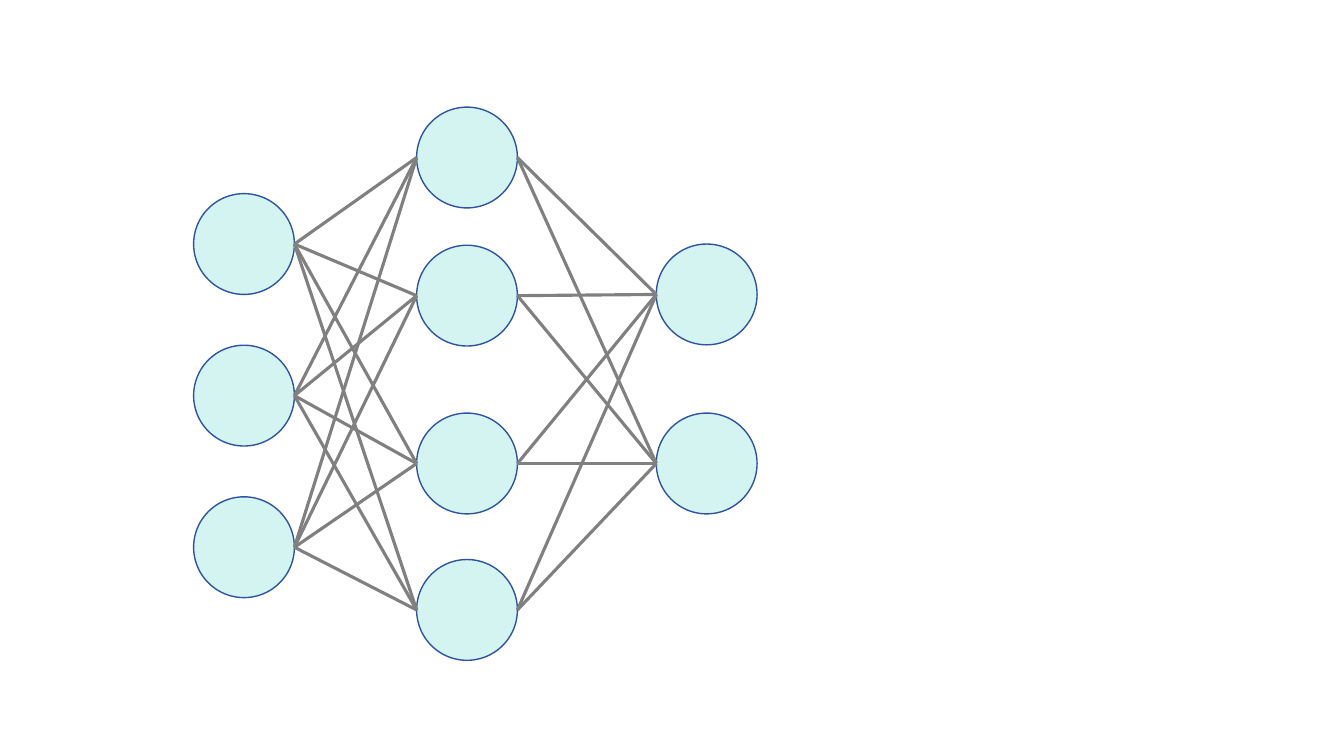
from dataclasses import dataclass
from itertools import pairwise, product

from lxml.etree import SubElement
from pptx import Presentation
from pptx.dml.color import RGBColor
from pptx.enum.shapes import MSO_CONNECTOR, MSO_SHAPE
from pptx.oxml.ns import qn
from pptx.util import Cm, Pt


@dataclass(frozen=True)
class Theme:
    node_fill: RGBColor = RGBColor(0xD4, 0xF4, 0xF2)
    node_line: RGBColor = RGBColor(0x2E, 0x54, 0xA1)
    link: RGBColor = RGBColor(0x80, 0x80, 0x80)
    node_width: float = 1
    link_width: float = 2.25
    diameter: float = 2.54


class NetworkSlide:
    """Draws network parts in one group; lengths are centimetres."""

    def __init__(self, prs, theme):
        self.theme = theme
        self.s = prs.slides.add_slide(prs.slide_layouts[6])
        self.group = self.s.shapes.add_group_shape()

    def node(self, left, top):
        t = self.theme
        sp = self.group.shapes.add_shape(
            MSO_SHAPE.OVAL, Cm(left), Cm(top), Cm(t.diameter), Cm(t.diameter))
        sp.shadow.inherit = False
        sp.fill.solid()
        sp.fill.fore_color.rgb = t.node_fill
        sp.line.color.rgb = t.node_line
        sp.line.width = Pt(t.node_width)
        return sp

    def layer(self, left, tops):
        return [self.node(left, top) for top in tops]

    def link(self, a, b):
        """Join the right edge of a to the left edge of b."""
        cxn = self.group.shapes.add_connector(
            MSO_CONNECTOR.STRAIGHT,
            a.left + a.width, a.top + a.height // 2,
            b.left, b.top + b.height // 2)
        cxn.line.color.rgb = self.theme.link
        cxn.line.width = Pt(self.theme.link_width)
        SubElement(cxn._element.spPr, qn("a:effectLst"))


def main():
    prs = Presentation()
    prs.slide_width, prs.slide_height = Cm(33.87), Cm(19.05)
    net = NetworkSlide(prs, Theme())

    # Layers: input, hidden, output
    layers = [
        net.layer(4.88, [4.88 + 3.82 * i for i in range(3)]),
        net.layer(10.5, [2.7, 6.18, 10.41, 14.1]),
        net.layer(16.54, [6.15, 10.41]),
    ]

    # Full connections between neighbouring layers
    for left_layer, right_layer in pairwise(layers):
        for a, b in product(left_layer, right_layer):
            net.link(a, b)

    prs.save("out.pptx")


if __name__ == "__main__":
    main()
